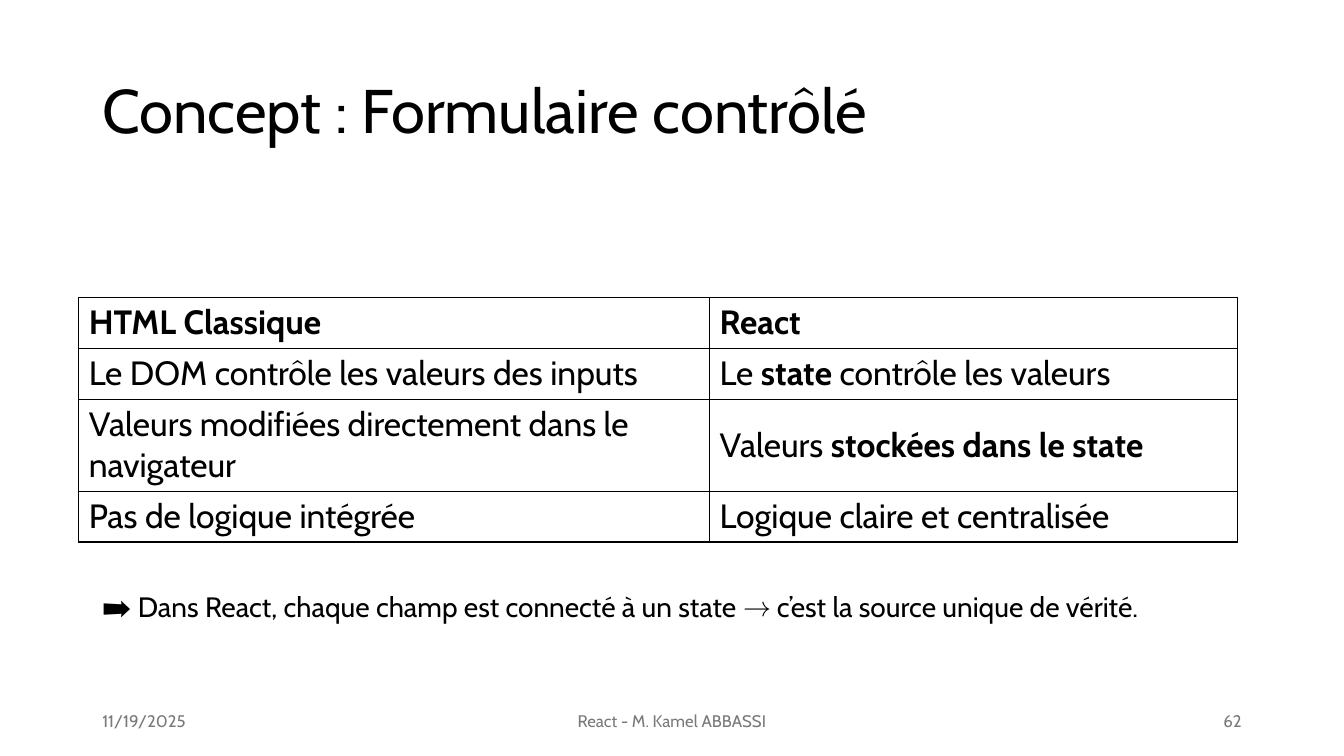
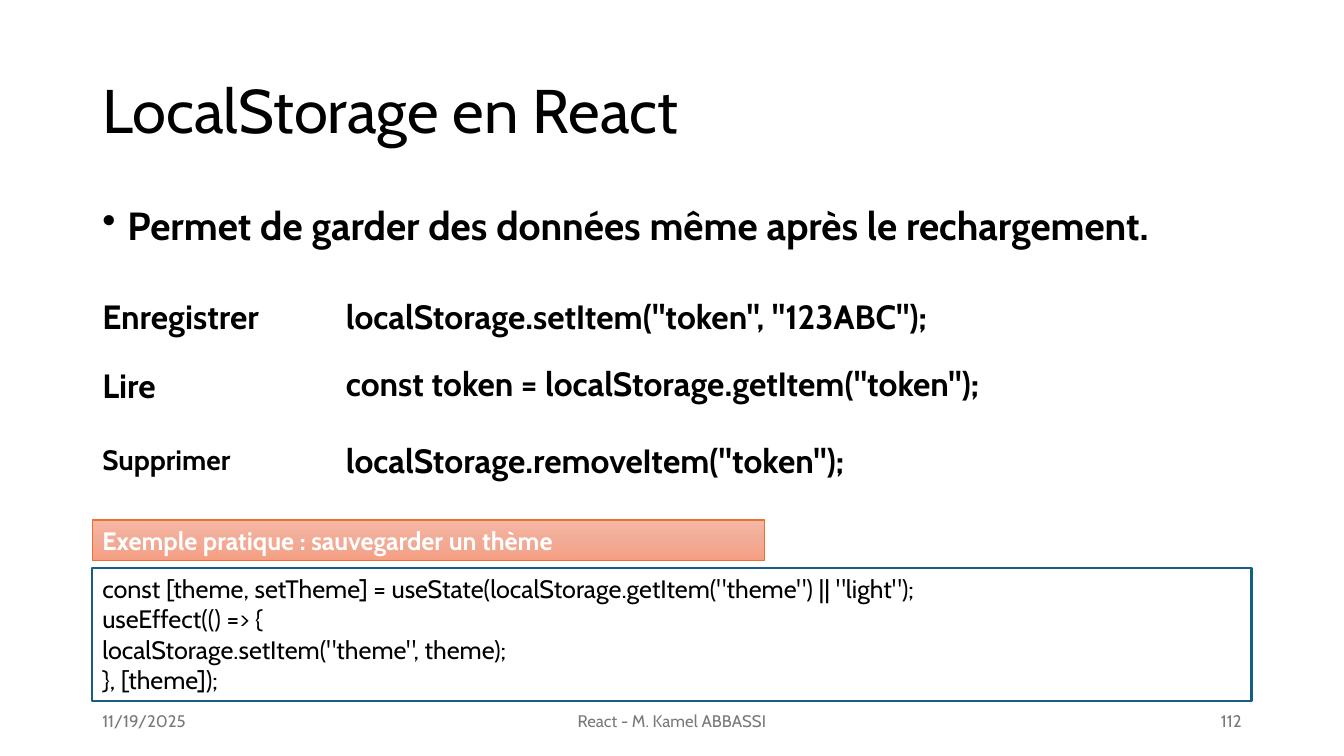
import copy

import pptx
import pptx.chart.data
import pptx.dml.color
import pptx.enum.shapes
import pptx.enum.text
import pptx.oxml
import pptx.oxml.ns
import pptx.util

Pt = pptx.util.Pt
ALIGN = pptx.enum.text.PP_ALIGN
ANCHOR = pptx.enum.text.MSO_ANCHOR
qn = pptx.oxml.ns.qn

FONT = "Cabin"
COLORS = {
    "text": "000000",
    "footer": "797979",
    "white": "FFFFFF",
    "banner_line": "E97132",
    "code_line": "156082",
}
BANNER_STOPS = ((0, "F5B8A5"), (0.5, "F2AB96"), (1, "F59E82"))
LEFT, WIDTH = 66, 828
FOOTER_TOP, FOOTER_HEIGHT = 500.5, 28.75
DATE, AUTHOR = "11/19/2025", "React - M. Kamel ABBASSI"

COMPARISON = (
    ("**HTML Classique**", "**React**"),
    ("Le DOM contrôle les valeurs des inputs", "Le **state** contrôle les valeurs"),
    ("Valeurs modifiées directement dans le navigateur",
     "Valeurs **stockées dans le state**"),
    ("Pas de logique intégrée", "Logique claire et centralisée"),
)
COLUMN_WIDTHS = (450.7, 377.3)
ROW_HEIGHTS = (36.4, 36.4, 65.6, 36.4)

# label, label top, label size, code, code top
OPERATIONS = (
    ("Enregistrer", 208, 24, 'localStorage.setItem("token", "123ABC");', 208),
    ("Lire", 257, 24, 'const token = localStorage.getItem("token");', 255.6),
    ("Supprimer", 312.5, 20, 'localStorage.removeItem("token");', 311),
)
THEME_CODE = """const [theme, setTheme] = useState(localStorage.getItem("theme") || "light");
useEffect(() => {
localStorage.setItem("theme", theme);
}, [theme]);"""


def rgb(value):
    return pptx.dml.color.RGBColor.from_string(value)


def format_run(r, size, color="text", bold=False):
    r.font.name = FONT
    r.font.size = Pt(size)
    r.font.bold = bold
    r.font.color.rgb = rgb(COLORS[color])


def fill_text(s, text, size, color="text", bold=False, align=ALIGN.LEFT, anchor=ANCHOR.TOP):
    tf = s.text_frame
    tf.word_wrap = True
    tf.vertical_anchor = anchor
    tf.text = text
    for p in tf.paragraphs:
        p.alignment = align
        for r in p.runs:
            format_run(r, size, color, bold)
    return tf.paragraphs[0]


def add_text(slide, box, text, size, **style):
    s = slide.shapes.add_textbox(*map(Pt, box))
    return fill_text(s, text, size, **style)


def add_box(slide, box, text, line, line_width, **style):
    s = slide.shapes.add_shape(pptx.enum.shapes.MSO_SHAPE.RECTANGLE, *map(Pt, box))
    s.shadow.inherit = False
    s.fill.solid()
    s.fill.fore_color.rgb = rgb(COLORS["white"])
    s.line.color.rgb = rgb(COLORS[line])
    s.line.width = Pt(line_width)
    fill_text(s, text, 18, **style)
    return s


def set_gradient(s, stops):
    """Fill the shape from top to bottom with three or more stops."""
    s.fill.gradient()
    s.fill.gradient_angle = 270
    stop_list = s._element.spPr.find(".//" + qn("a:gsLst"))
    for _ in stops[2:]:
        stop_list.insert(1, copy.deepcopy(stop_list[0]))
    for stop, (position, color) in zip(s.fill.gradient_stops, stops):
        stop.position = position
        stop.color.rgb = rgb(color)


def set_bullet(p, indent):
    props = p._p.get_or_add_pPr()
    props.set("marL", str(Pt(indent)))
    props.set("indent", str(-Pt(indent)))
    bullet = props.makeelement(qn("a:buChar"), {"char": "•"})
    props.append(bullet)


def set_borders(cell):
    props = cell._tc.get_or_add_tcPr()
    for i, side in enumerate("LRTB"):
        props.insert(i, pptx.oxml.parse_xml(
            f'<a:ln{side} {pptx.oxml.ns.nsdecls("a")} w="{Pt(1)}"><a:solidFill>'
            f'<a:srgbClr val="{COLORS["text"]}"/></a:solidFill></a:ln{side}>'))


def fill_cell(cell, text):
    """Write text in the cell; parts between ** marks are bold."""
    cell.fill.background()
    set_borders(cell)
    cell.vertical_anchor = ANCHOR.MIDDLE
    p = cell.text_frame.paragraphs[0]
    for i, part in enumerate(text.split("**")):
        if part:
            r = p.add_run()
            r.text = part
            format_run(r, 24, bold=i % 2 == 1)


def add_comparison(slide, left, top):
    frame = slide.shapes.add_table(
        len(ROW_HEIGHTS), len(COLUMN_WIDTHS), Pt(left), Pt(top),
        Pt(sum(COLUMN_WIDTHS)), Pt(sum(ROW_HEIGHTS)))
    table = frame.table
    table.first_row = table.horz_banding = False
    for column, width in zip(table.columns, COLUMN_WIDTHS):
        column.width = Pt(width)
    for row, height, texts in zip(table.rows, ROW_HEIGHTS, COMPARISON):
        row.height = Pt(height)
        for cell, text in zip(row.cells, texts):
            fill_cell(cell, text)


def add_slide(prs, title, number):
    """Add a slide with the shared title and footer."""
    slide = prs.slides.add_slide(prs.slide_layouts[6])
    p = add_text(slide, (LEFT, 28.75, WIDTH, 104.4), title, 44, anchor=ANCHOR.MIDDLE)
    p.line_spacing = 0.9
    footers = (
        (LEFT, 216, DATE, ALIGN.LEFT),
        (318, 324, AUTHOR, ALIGN.CENTER),
        (678, 216, number, ALIGN.RIGHT),
    )
    for left, width, text, align in footers:
        add_text(slide, (left, FOOTER_TOP, width, FOOTER_HEIGHT), text, 12,
                 color="footer", align=align, anchor=ANCHOR.MIDDLE)
    return slide


def add_form_slide(prs):
    slide = add_slide(prs, "Concept : Formulaire contrôlé", "62")
    add_comparison(slide, 56.2, 212.4)
    add_text(slide, (LEFT, 417.6, 818, 31.7),
             "➡️ Dans React, chaque champ est connecté à un state → "
             "c’est la source unique de vérité.", 20)


def add_storage_slide(prs):
    slide = add_slide(prs, "LocalStorage en React", "112")
    p = add_text(slide, (LEFT, 144, WIDTH, 54),
                 "Permet de garder des données même après le rechargement.", 28, bold=True)
    p.line_spacing = 0.9
    p.space_before = Pt(10)
    set_bullet(p, 18)
    for label, label_top, label_size, code, code_top in OPERATIONS:
        add_text(slide, (LEFT, label_top, 174, 36), label, label_size, bold=True)
        add_text(slide, (240, code_top, 540, 36), code, 24, bold=True)
    banner = add_box(slide, (LEFT, 371.5, 480, 29), "Exemple pratique : sauvegarder un thème",
                     "banner_line", 1, color="white", bold=True)
    set_gradient(banner, BANNER_STOPS)
    add_box(slide, (LEFT, 406, WIDTH, 94.5), THEME_CODE, "code_line", 1.5)


def main():
    prs = pptx.Presentation()
    prs.slide_width, prs.slide_height = Pt(960), Pt(540)
    add_form_slide(prs)
    add_storage_slide(prs)
    prs.save("out.pptx")


if __name__ == "__main__":
    main()
